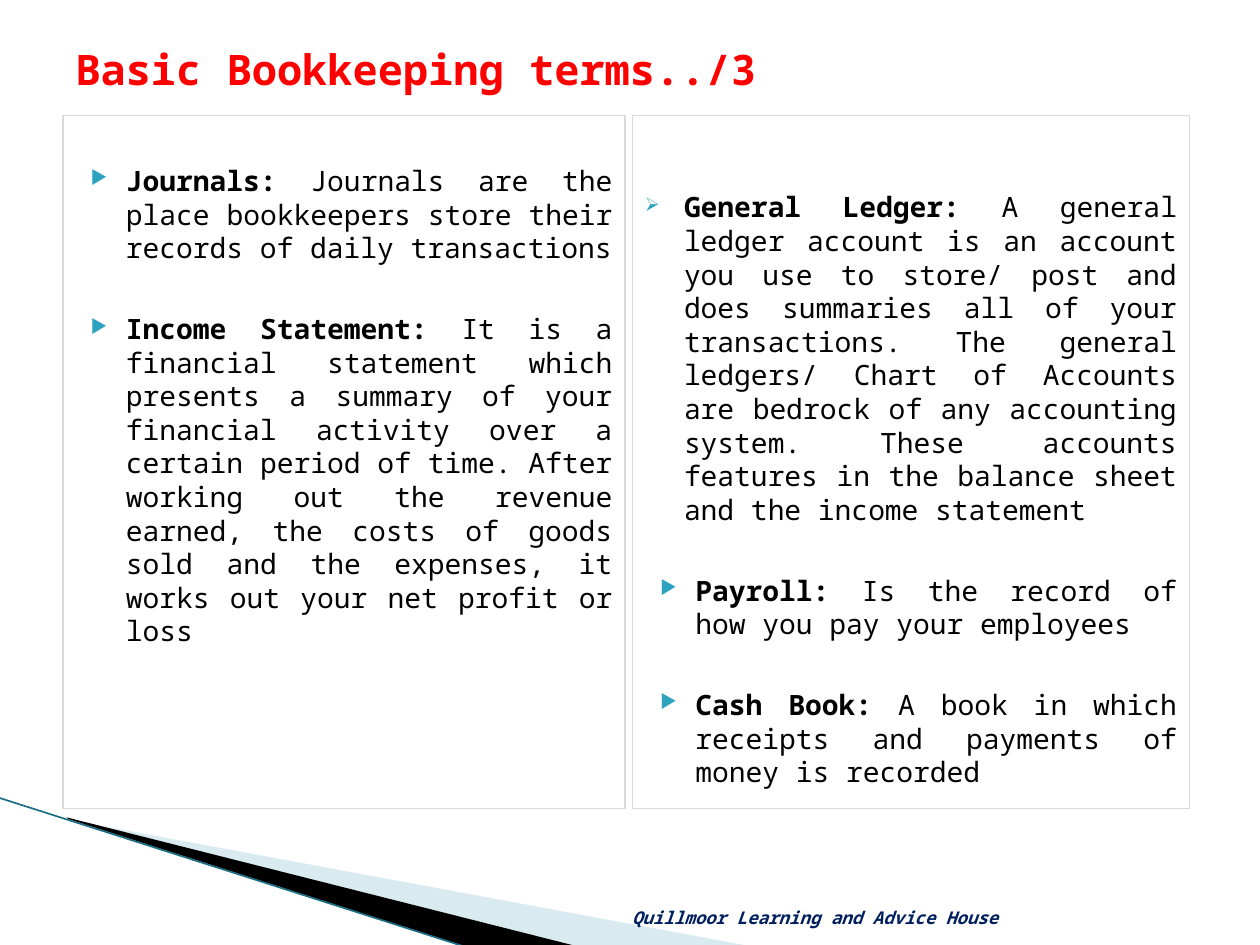
"""Build the third bookkeeping terms slide with two bordered columns of definitions."""
import lxml.etree
import pptx
import pptx.dml.color
import pptx.enum.shapes
import pptx.enum.text
import pptx.oxml
import pptx.oxml.ns
import pptx.util

Cm = pptx.util.Cm
Pt = pptx.util.Pt
FONT = "Noto Sans Mono"
COLORS = {
    "title": "FF0000",
    "text": "000000",
    "bullet": "2DA2BF",
    "border": "D9D9D9",
    "footer": "002060",
    "pale_wedge": "A0CBDC",
    "dark_wedge": "000000",
    "edge": "1B6E83",
}


def rgb(name):
    return pptx.dml.color.RGBColor.from_string(COLORS[name])


def style(paragraph, size, color):
    paragraph.font.name = FONT
    paragraph.font.size = Pt(size)
    paragraph.font.color.rgb = rgb(color)


presentation = pptx.Presentation()
presentation.slide_width = Cm(25.4)
presentation.slide_height = Cm(19.05)
slide = presentation.slides.add_slide(presentation.slide_layouts[6])

wedges = [
    ("pale_wedge", [(1.4, 16.53), (15.11, 19.07), (11.58, 19.07), (1.4, 16.51)]),
    ("dark_wedge", [(1.35, 16.48), (11.61, 19.07), (9.45, 19.1), (1.37, 16.51)]),
]
for color, corners in wedges:
    points = [(Cm(x), Cm(y)) for x, y in corners]
    builder = slide.shapes.build_freeform(*points[0])
    builder.add_line_segments(points[1:], close=True)
    wedge = builder.convert_to_shape()
    wedge.shadow.inherit = False
    wedge.fill.solid()
    wedge.fill.fore_color.rgb = rgb(color)
    wedge.line.fill.background()
    if color == "pale_wedge":
        fill_color = wedge._element.spPr.find(".//" + pptx.oxml.ns.qn("a:srgbClr"))
        lxml.etree.SubElement(fill_color, pptx.oxml.ns.qn("a:alpha"), val="40000")

edge = slide.shapes.add_connector(
    pptx.enum.shapes.MSO_CONNECTOR.STRAIGHT, Cm(-0.03), Cm(16.08), Cm(9.42), Cm(19.1)
)
edge.line.color.rgb = rgb("edge")
edge.line.width = Pt(0.95)
lxml.etree.SubElement(edge._element.spPr, pptx.oxml.ns.qn("a:effectLst"))

columns = [
    (1.27, 11.33, 0.97, [
        ("▶", 1.02, 0.71, "Journals: ",
         "Journals are the place bookkeepers store their records of daily transactions"),
        ("▶", 1.02, 0.71, "Income Statement: ",
         "It is a financial statement which presents a summary of your financial activity "
         "over a certain period of time. After working out the revenue earned, the costs of "
         "goods sold and the expenses, it works out your net profit or loss"),
    ]),
    (12.75, 11.23, 1.5, [
        ("➢", 0.79, 0.79, "General Ledger: ",
         "A general ledger account is an account you use to store/ post and does summaries "
         "all of your transactions. The general ledgers/ Chart of Accounts are bedrock of any "
         "accounting system. These accounts features in the balance sheet and the income "
         "statement"),
        ("▶", 1.02, 0.71, "Payroll: ", "Is the record of how you pay your employees"),
        ("▶", 1.02, 0.71, "Cash Book: ",
         "A book in which receipts and payments of money is recorded"),
    ]),
]
for left, width, top_margin, terms in columns:
    column = slide.shapes.add_shape(
        pptx.enum.shapes.MSO_SHAPE.RECTANGLE, Cm(left), Cm(2.33), Cm(width), Cm(13.97)
    )
    column.shadow.inherit = False
    column.fill.background()
    column.line.color.rgb = rgb("border")
    column.line.width = Pt(0.75)
    frame = column.text_frame
    frame.word_wrap = True
    frame.vertical_anchor = pptx.enum.text.MSO_ANCHOR.TOP
    frame.margin_top = Cm(top_margin)
    for index, (bullet, margin, hanging, term, meaning) in enumerate(terms):
        paragraph = frame.add_paragraph() if index else frame.paragraphs[0]
        paragraph.alignment = pptx.enum.text.PP_ALIGN.JUSTIFY
        paragraph.space_before = Pt(27 if index else 0)
        properties = paragraph._p.get_or_add_pPr()
        properties.set("marL", str(Cm(margin)))
        properties.set("indent", str(-Cm(hanging)))
        bullet_color = lxml.etree.SubElement(properties, pptx.oxml.ns.qn("a:buClr"))
        lxml.etree.SubElement(
            bullet_color, pptx.oxml.ns.qn("a:srgbClr"), val=COLORS["bullet"]
        )
        lxml.etree.SubElement(properties, pptx.oxml.ns.qn("a:buSzPct"), val="68000")
        lxml.etree.SubElement(properties, pptx.oxml.ns.qn("a:buChar"), char=bullet)
        style(paragraph, 16, "text")
        for text, bold in ((term, True), (meaning, False)):
            run = paragraph.add_run()
            run.text = text
            run.font.bold = bold

footer = slide.shapes.add_textbox(Cm(12.17), Cm(17.81), Cm(8.36), Cm(1.02))
footer.text_frame.word_wrap = True
footer.text_frame.margin_right = Cm(0.41)
footer.text_frame.vertical_anchor = pptx.enum.text.MSO_ANCHOR.BOTTOM
paragraph = footer.text_frame.paragraphs[0]
paragraph.text = "Quillmoor Learning and Advice House"
paragraph.alignment = pptx.enum.text.PP_ALIGN.RIGHT
style(paragraph, 10, "footer")
paragraph.font.bold = True
paragraph.font.italic = True

title = slide.shapes.add_textbox(Cm(1.27), Cm(0.43), Cm(22.86), Cm(1.9))
title.text_frame.word_wrap = True
title.text_frame.vertical_anchor = pptx.enum.text.MSO_ANCHOR.MIDDLE
paragraph = title.text_frame.paragraphs[0]
paragraph.text = "Basic Bookkeeping terms../3"
style(paragraph, 24, "title")
paragraph.font.bold = True

presentation.save("out.pptx")
